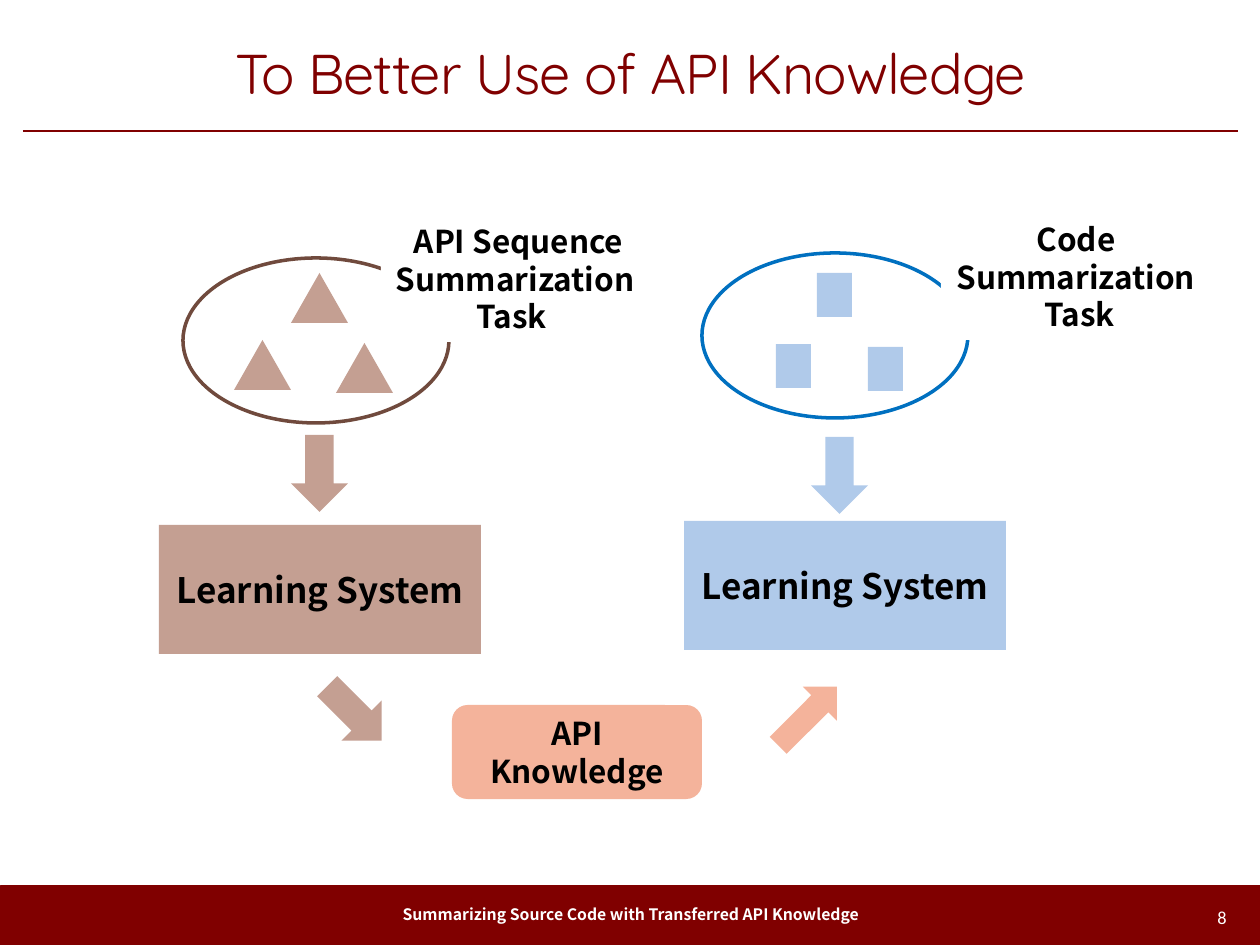
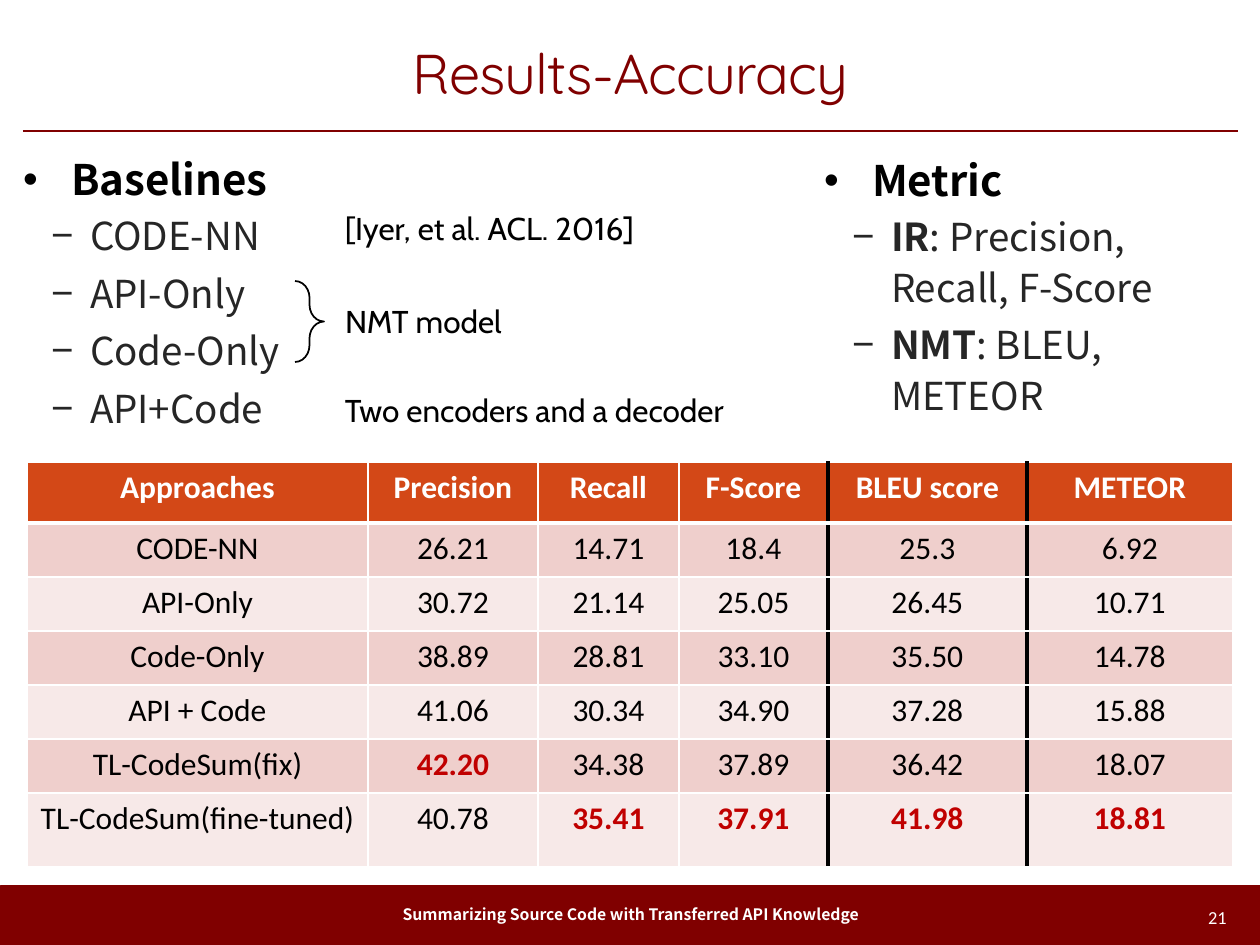
"""Build two slides on transferred API knowledge: a task diagram and a results table."""
from dataclasses import dataclass

import pptx
import pptx.dml.color
import pptx.enum.shapes
import pptx.enum.text
import pptx.oxml.ns
import pptx.util
from lxml import etree

SCALE = 914400 / 126
KIND = pptx.enum.shapes.MSO_SHAPE
ALIGN = pptx.enum.text.PP_ALIGN
MID = pptx.enum.text.MSO_ANCHOR.MIDDLE
TOP = pptx.enum.text.MSO_ANCHOR.TOP
FOOT = "Summarizing Source Code with Transferred API Knowledge"


@dataclass(frozen=True)
class Theme:
    """Colours, fonts and type sizes."""
    maroon: str = "800000"
    white: str = "FFFFFF"
    black: str = "000000"
    gray: str = "262626"
    brown: str = "704A3D"
    clay: str = "C49F92"
    blue: str = "0070C0"
    sky: str = "B0CAEA"
    peach: str = "F4B39B"
    head: str = "D34817"
    bands: tuple = ("EFCFCC", "F7E9E8")
    best: str = "C00000"
    sans: str = "Noto Sans CJK SC"
    round: str = "Quicksand"
    table: str = "Calibri"
    note: str = "Cabin"
    title: float = 32
    first: float = 24
    second: float = 22
    box: float = 20
    text: float = 18
    page: float = 10.5
    foot: float = 9


def px(*nums):
    """Turn pixels into a list of EMU lengths."""
    return [pptx.util.Emu(round(n * SCALE)) for n in nums]


def rgb(code):
    """Turn a hex code into a colour."""
    return pptx.dml.color.RGBColor.from_string(code)


def put(thing, **vals):
    """Set each named value on a thing."""
    for name, val in vals.items():
        setattr(thing, name, val)


def move(shape, box):
    """Place a shape at left, top, width, height in pixels."""
    put(shape, **dict(zip(("left", "top", "width", "height"), px(*box))))


def sub(node, tag, **attrs):
    """Add a drawing child element."""
    return etree.SubElement(node, pptx.oxml.ns.qn(tag), attrs)


class Deck:
    """Holds the theme, the file and the current slide."""

    def __init__(self, theme):
        """Start an empty file of 1260 by 945 pixels."""
        self.theme = theme
        self.file = pptx.Presentation()
        wide, high = px(1260, 945)
        put(self.file, slide_width=wide, slide_height=high)

    def page(self, layout, title, num):
        """Add a slide with its title, rule, band and footer."""
        t = self.theme
        self.slide = self.file.slides.add_slide(self.file.slide_layouts[layout])
        self.shape(KIND.RECTANGLE, (1, 888, 1259, 57), t.maroon, t.maroon, 3)
        self.rule(23, 131, 1238, 131)
        head = self.slide.shapes.title
        move(head, (23, 26, 1215, 92))
        put(head.text_frame, vertical_anchor=MID, word_wrap=True,
            auto_size=pptx.enum.text.MSO_AUTO_SIZE.NONE)
        para = head.text_frame.paragraphs[0]
        para.alignment = ALIGN.CENTER
        run = self.run(para, title, t.title, t.maroon, t.round)
        run.font._element.set("spc", "-50")
        self.label((381, 892, 499, 44), FOOT, t.foot, t.white, t.sans, True,
                   ALIGN.CENTER)
        self.label((1182, 895, 57, 44), str(num), t.page, t.white, t.table,
                   False, ALIGN.RIGHT)

    def run(self, para, text, size, color, font, bold=False):
        """Add one formatted run to a paragraph."""
        run = para.add_run()
        run.text = text
        put(run.font, size=pptx.util.Pt(size), name=font, bold=bold)
        run.font.color.rgb = rgb(color)
        return run

    def fill(self, frame, lines, size, color, font, bold, align):
        """Write lines as paragraphs of one format."""
        for i, line in enumerate(lines):
            para = frame.add_paragraph() if i else frame.paragraphs[0]
            para.alignment = align
            self.run(para, line, size, color, font, bold)

    def shape(self, kind, box, fill=None, line=None, width=1, turn=0):
        """Add a preset shape without shadow."""
        item = self.slide.shapes.add_shape(kind, *px(*box))
        item.shadow.inherit = False
        item.rotation = turn
        for part, color in ((item.fill, fill), (item.line.fill, line)):
            if color:
                part.solid()
                part.fore_color.rgb = rgb(color)
            else:
                part.background()
        if line:
            item.line.width = pptx.util.Pt(width)
        return item

    def block(self, kind, box, fill, lines, size, wrap=True):
        """Add a filled shape with bold black centred lines."""
        t = self.theme
        item = self.shape(kind, box, fill)
        put(item.text_frame, word_wrap=wrap, vertical_anchor=MID)
        self.fill(item.text_frame, lines, size, t.black, t.sans, True,
                  ALIGN.CENTER)

    def rule(self, *ends):
        """Add the straight line under the title."""
        line = self.slide.shapes.add_connector(
            pptx.enum.shapes.MSO_CONNECTOR.STRAIGHT, *px(*ends))
        line.line.color.rgb = rgb(self.theme.maroon)
        line.line.width = pptx.util.Pt(1.5)
        sub(line._element.spPr, "a:effectLst")

    def label(self, box, text, size, color, font, bold, align, anchor=MID):
        """Add a one-line text box and return its frame."""
        frame = self.slide.shapes.add_textbox(*px(*box)).text_frame
        put(frame, word_wrap=True, vertical_anchor=anchor)
        self.fill(frame, [text], size, color, font, bold, align)
        return frame

    def note(self, top, wide, text):
        """Add a remark beside the baselines."""
        t = self.theme
        frame = self.label((345, top, wide, 38), text, t.text, t.black,
                           t.note, False, ALIGN.LEFT, TOP)
        put(frame, margin_left=0, margin_right=0, margin_top=0,
            margin_bottom=0)

    def items(self, spot, box, head, rows):
        """Fill a body placeholder; each row is a bold and a plain part."""
        t = self.theme
        body = self.slide.placeholders[spot]
        move(body, box)
        frame = body.text_frame
        put(frame, margin_left=0, margin_right=0, word_wrap=True,
            auto_size=pptx.enum.text.MSO_AUTO_SIZE.NONE, vertical_anchor=TOP)
        for i, (strong, plain) in enumerate([(head, ""), *rows]):
            para = frame.add_paragraph() if i else frame.paragraphs[0]
            put(para, level=min(i, 1), line_spacing=1.1,
                space_before=pptx.util.Pt(0),
                space_after=pptx.util.Pt(4 if i else 2))
            left, hang, mark = (67, 39, "\u2212") if i else (48, 48, "\u2022")
            props = para._p.get_or_add_pPr()
            for name, val in zip(("marL", "indent"), px(left, -hang)):
                props.set(name, str(int(val)))
            sub(props, "a:buChar", char=mark)
            size, color = (t.second, t.gray) if i else (t.first, t.black)
            for text, bold in ((strong, True), (plain, False)):
                if text:
                    self.run(para, text, size, color, t.sans, bold)

    def edges(self, cell, **sides):
        """Draw cell borders; each side is a colour and a width."""
        props = cell._tc.get_or_add_tcPr()
        for side in "LRTB":
            color, width = sides.get(side, (self.theme.white, 1))
            line = sub(props, "a:ln" + side, w=str(int(width * 12700)))
            sub(sub(line, "a:solidFill"), "a:srgbClr", val=color)

    def table(self, box, wides, highs, rows):
        """Add the score table, marking the best score of each column."""
        t = self.theme
        grid = self.slide.shapes.add_table(len(rows), len(wides),
                                           *px(*box)).table
        grid.horz_banding = False
        for col, wide in zip(grid.columns, px(*wides)):
            col.width = wide
        for row, high in zip(grid.rows, px(*highs)):
            row.height = high
        tops = [max(col[1:], key=float) for col in list(zip(*rows))[1:]]
        thick = (t.black, 2.25)
        for r, row in enumerate(rows):
            for c, text in enumerate(row):
                cell = grid.cell(r, c)
                sides = {}
                if c in (3, 4):
                    sides["R"] = thick
                if c in (4, 5):
                    sides["L"] = thick
                if r < 2:
                    sides["T" if r else "B"] = (t.white, 3)
                self.edges(cell, **sides)
                cell.fill.solid()
                cell.fill.fore_color.rgb = rgb(
                    t.bands[(r - 1) % 2] if r else t.head)
                best = r and c and text == tops[c - 1]
                color = t.best if best else t.black if r else t.white
                self.fill(cell.text_frame, [text], t.text, color, t.table,
                          bool(best or not r), ALIGN.CENTER)


def tasks(deck):
    """Draw both learning tasks and the knowledge passed between them."""
    t = deck.theme
    deck.page(5, "To Better Use of API Knowledge", 8)
    sides = (
        ((183, 258), t.brown, t.clay, KIND.ISOSCELES_TRIANGLE, (57, 50),
         ((291, 273), (336, 343), (234, 340)), (291, 435), (159, 525)),
        ((702, 253), t.blue, t.sky, KIND.RECTANGLE, (35, 44),
         ((817, 273), (868, 347), (776, 344)), (811, 437), (684, 521)),
    )
    for ring, edge, fill, kind, size, spots, arrow, box in sides:
        deck.shape(KIND.OVAL, (*ring, 266, 165), None, edge, 2)
        for spot in spots:
            deck.shape(kind, (*spot, *size), fill)
        deck.shape(KIND.DOWN_ARROW, (*arrow, 57, 77), fill)
        deck.block(KIND.RECTANGLE, (*box, 322, 129), fill,
                   ["Learning System"], t.box)
    deck.shape(KIND.DOWN_ARROW, (326, 675, 57, 77), t.clay, turn=315)
    deck.block(KIND.ROUNDED_RECTANGLE, (452, 705, 250, 94), t.peach,
               ["API Knowledge"], t.text)
    deck.shape(KIND.RIGHT_ARROW, (766, 692, 83, 48), t.peach, turn=315)
    for box, lines in (
            ((941, 213, 277, 127), ["Code ", "Summarization ", "Task"]),
            ((381, 215, 268, 127), [" API Sequence", "Summarization", "Task "])):
        deck.block(KIND.RECTANGLE, box, t.white, lines, t.text, False)


def scores(deck):
    """Show baselines, metrics and the table of scores."""
    deck.page(3, "Results-Accuracy", 21)
    names = ("CODE-NN", "API-Only", "Code-Only", "API+Code")
    deck.items(1, (23, 142, 358, 724), "Baselines",
               [("", name) for name in names])
    deck.items(2, (824, 143, 358, 724), "Metric",
               [("IR", ": Precision, Recall, F-Score"),
                ("NMT", ": BLEU, METEOR")])
    rows = (
        ("Approaches", "Precision", "Recall", "F-Score", "BLEU score", "METEOR"),
        ("CODE-NN", "26.21", "14.71", "18.4", "25.3", "6.92"),
        ("API-Only", "30.72", "21.14", "25.05", "26.45", "10.71"),
        ("Code-Only", "38.89", "28.81", "33.10", "35.50", "14.78"),
        ("API + Code", "41.06", "30.34", "34.90", "37.28", "15.88"),
        ("TL-CodeSum(fix)", "42.20", "34.38", "37.89", "36.42", "18.07"),
        ("TL-CodeSum(fine-tuned)", "40.78", "35.41", "37.91", "41.98", "18.81"),
    )
    deck.table((27, 462, 1206, 405), (341, 170, 141, 149, 199, 206),
               (61, *[54] * 5, 74), rows)
    brace = deck.shape(KIND.RIGHT_BRACE, (295, 281, 29, 81), None,
                       deck.theme.black)
    brace.adjustments[0], brace.adjustments[1] = 0.58, 0.5
    deck.note(302, 270, "NMT model")
    deck.note(391, 388, "Two encoders and a decoder")
    deck.note(209, 388, "[Iyer, et al. ACL. 2016]")


def main():
    """Build both slides and save them."""
    deck = Deck(Theme())
    tasks(deck)
    scores(deck)
    deck.file.save("out.pptx")


main()
